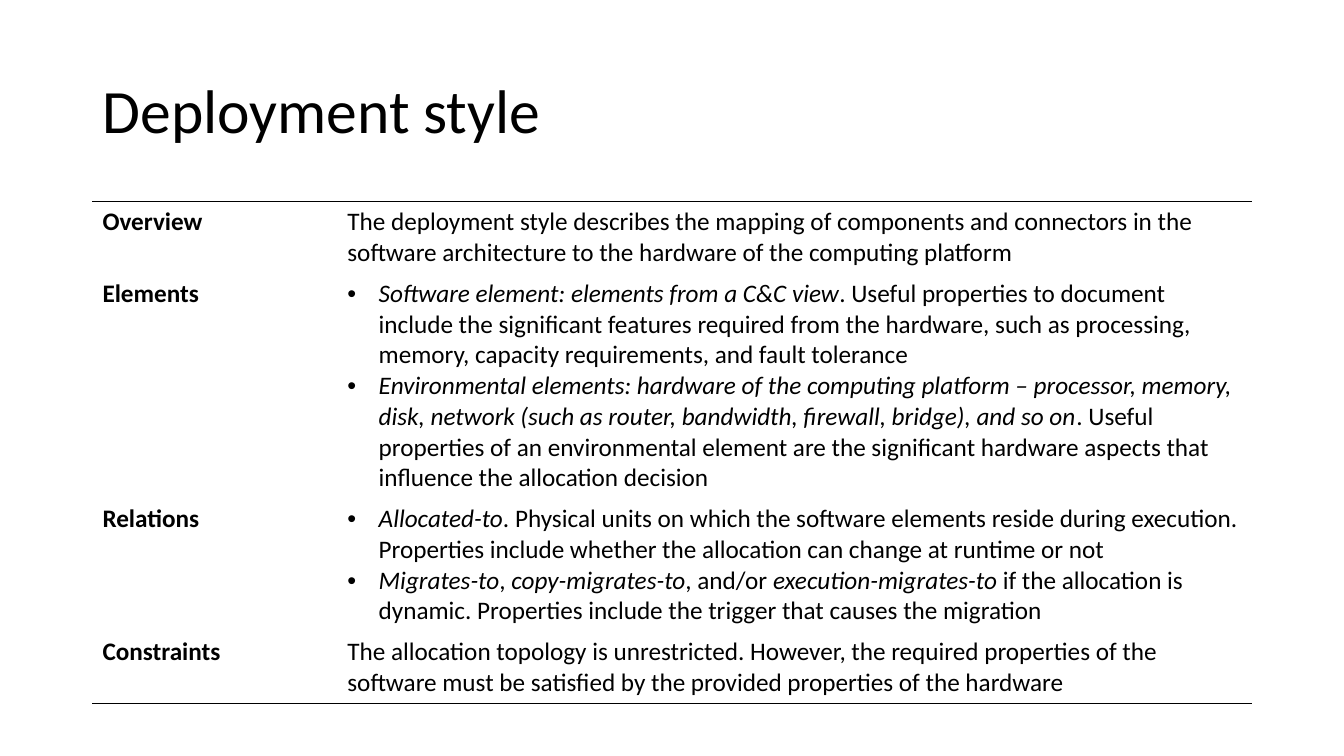
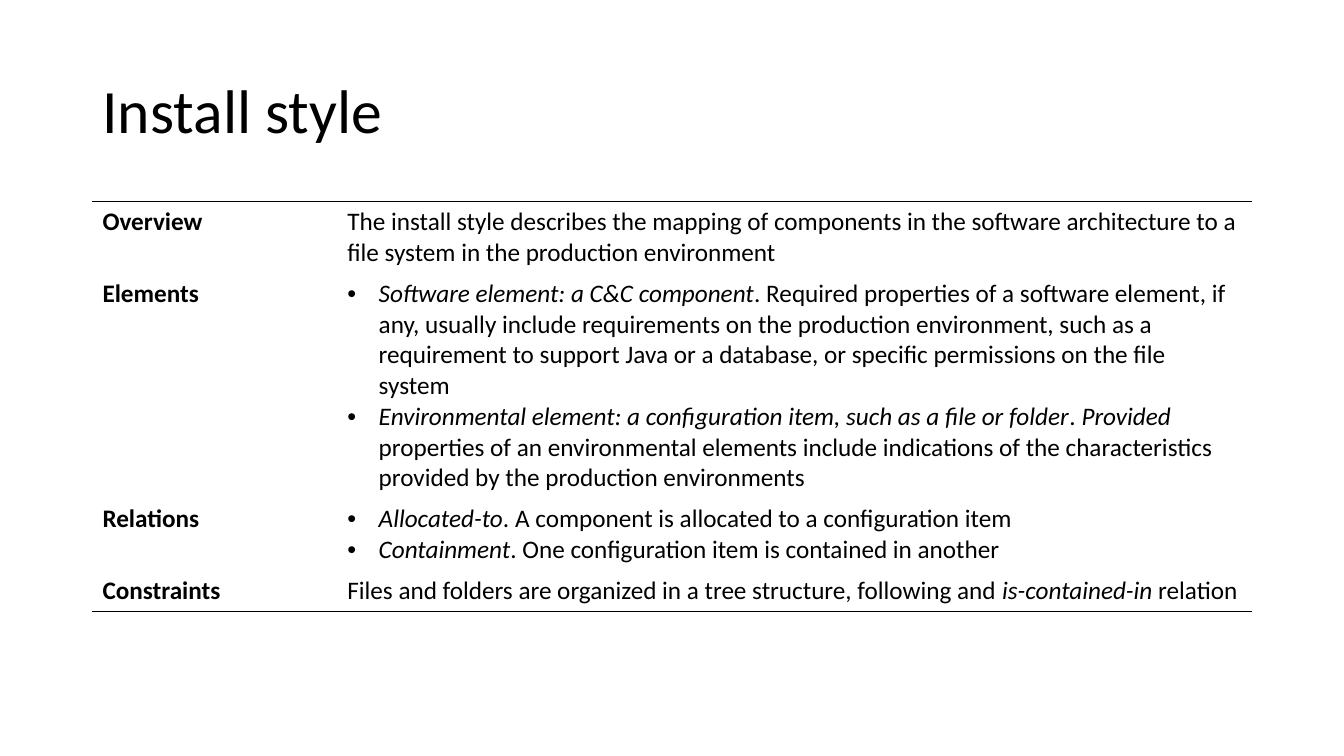
from lxml.etree import SubElement
from pptx import Presentation
from pptx.dml.color import RGBColor
from pptx.enum.text import MSO_ANCHOR as Anchor, MSO_AUTO_SIZE as AutoSize, PP_ALIGN as Align
from pptx.oxml import parse_xml
from pptx.oxml.ns import nsdecls, qn
from pptx.util import Cm, Pt


def color(hex_text):
    return RGBColor.from_string(hex_text)


class Deck:
    """Holds the shared style and the current slide."""

    FONT = "Calibri"
    INK = "000000"
    TITLE_SIZE, TEXT_SIZE = 44, 18
    LEFT, WIDTH = 2.33, 29.21
    TITLE_TOP, TITLE_HEIGHT = 1.01, 3.68
    TABLE_TOP, ROW_HEIGHT = 5.08, 1.03
    LABEL_WIDTH = 6.17
    BULLET_INDENT = 0.79
    PLAIN_TABLE_STYLE = "{2D5ABB26-0587-4C30-8999-92F81FD0307C}"

    def __init__(self):
        self.presentation = Presentation()
        self.presentation.slide_width = Cm(33.87)
        self.presentation.slide_height = Cm(19.05)
        self.slide = None

    def add_slide(self, title):
        layout = self.presentation.slide_layouts.get_by_name("Title Only")
        self.slide = self.presentation.slides.add_slide(layout)
        shape = self.slide.shapes.title
        shape.left, shape.top = Cm(self.LEFT), Cm(self.TITLE_TOP)
        shape.width, shape.height = Cm(self.WIDTH), Cm(self.TITLE_HEIGHT)
        frame = shape.text_frame
        frame.text = title
        frame.auto_size = AutoSize.NONE
        frame.vertical_anchor = Anchor.MIDDLE
        paragraph = frame.paragraphs[0]
        paragraph.alignment = Align.LEFT
        paragraph.line_spacing = 0.9
        self.format_run(paragraph.runs[0], self.TITLE_SIZE)

    def format_run(self, run, size, bold=False, italic=False):
        font = run.font
        font.name, font.size = self.FONT, Pt(size)
        font.bold, font.italic = bold, italic
        font.color.rgb = color(self.INK)

    def add_text(self, paragraph, text, bold=False):
        """Text between asterisks is set in italics."""
        for index, part in enumerate(text.split("*")):
            if part:
                run = paragraph.add_run()
                run.text = part
                self.format_run(run, self.TEXT_SIZE, bold, italic=index % 2 == 1)

    def add_bullet(self, paragraph):
        properties = paragraph._p.get_or_add_pPr()
        indent = Cm(self.BULLET_INDENT)
        properties.set("marL", str(indent))
        properties.set("indent", str(-indent))
        SubElement(properties, qn("a:buFont"), typeface="Arial")
        SubElement(properties, qn("a:buChar"), char="•")

    def add_border(self, cell, side):
        line = parse_xml(
            f'<a:ln{side} {nsdecls("a")} w="{Pt(1)}"><a:solidFill>'
            f'<a:srgbClr val="{self.INK}"/></a:solidFill></a:ln{side}>')
        cell._tc.get_or_add_tcPr().insert(0, line)

    def fill_cell(self, cell, content, bold=False):
        """A string is plain text, a list is a bulleted list."""
        cell.fill.background()
        bulleted = isinstance(content, list)
        frame = cell.text_frame
        for index, text in enumerate(content if bulleted else [content]):
            paragraph = frame.add_paragraph() if index else frame.paragraphs[0]
            if bulleted:
                self.add_bullet(paragraph)
            self.add_text(paragraph, text, bold)

    def add_style_table(self, rows):
        frame = self.slide.shapes.add_table(
            len(rows), 2, Cm(self.LEFT), Cm(self.TABLE_TOP),
            Cm(self.WIDTH), Cm(self.ROW_HEIGHT * len(rows)))
        table = frame.table
        table.first_row = table.horz_banding = False
        table._tbl.tblPr.find(qn("a:tableStyleId")).text = self.PLAIN_TABLE_STYLE
        table.columns[0].width = Cm(self.LABEL_WIDTH)
        table.columns[1].width = Cm(self.WIDTH - self.LABEL_WIDTH)
        for index, (label, content) in enumerate(rows.items()):
            self.fill_cell(table.cell(index, 0), label, bold=True)
            self.fill_cell(table.cell(index, 1), content)
        # Rules above the first and below the last row
        for column in range(2):
            self.add_border(table.cell(0, column), "T")
            self.add_border(table.cell(len(rows) - 1, column), "B")

    def save(self):
        self.presentation.save("out.pptx")


deck = Deck()

# Deployment style
deck.add_slide("Deployment style")
deck.add_style_table({
    "Overview":
        "The deployment style describes the mapping of components and connectors in the "
        "software architecture to the hardware of the computing platform",
    "Elements": [
        "*Software element: elements from a C&C view*. Useful properties to document include "
        "the significant features required from the hardware, such as processing, memory, "
        "capacity requirements, and fault tolerance",
        "*Environmental elements: hardware of the computing platform – processor, memory, "
        "disk, network (such as router, bandwidth, firewall, bridge), and so on*. Useful "
        "properties of an environmental element are the significant hardware aspects that "
        "influence the allocation decision",
    ],
    "Relations": [
        "*Allocated-to*. Physical units on which the software elements reside during "
        "execution. Properties include whether the allocation can change at runtime or not",
        "*Migrates-to*, *copy-migrates-to*, and/or *execution-migrates-to* if the allocation "
        "is dynamic. Properties include the trigger that causes the migration",
    ],
    "Constraints":
        "The allocation topology is unrestricted. However, the required properties of the "
        "software must be satisfied by the provided properties of the hardware",
})

# Install style
deck.add_slide("Install style")
deck.add_style_table({
    "Overview":
        "The install style describes the mapping of components in the software architecture "
        "to a file system in the production environment",
    "Elements": [
        "*Software element: a C&C component*. Required properties of a software element, if "
        "any, usually include requirements on the production environment, such as a "
        "requirement to support Java or a database, or specific permissions on the file system",
        "*Environmental element: a configuration item, such as a file or folder*. *Provided* "
        "properties of an environmental elements include indications of the characteristics "
        "provided by the production environments",
    ],
    "Relations": [
        "*Allocated-to*. A component is allocated to a configuration item",
        "*Containment*. One configuration item is contained in another",
    ],
    "Constraints":
        "Files and folders are organized in a tree structure, following and "
        "*is-contained-in* relation",
})

deck.save()
